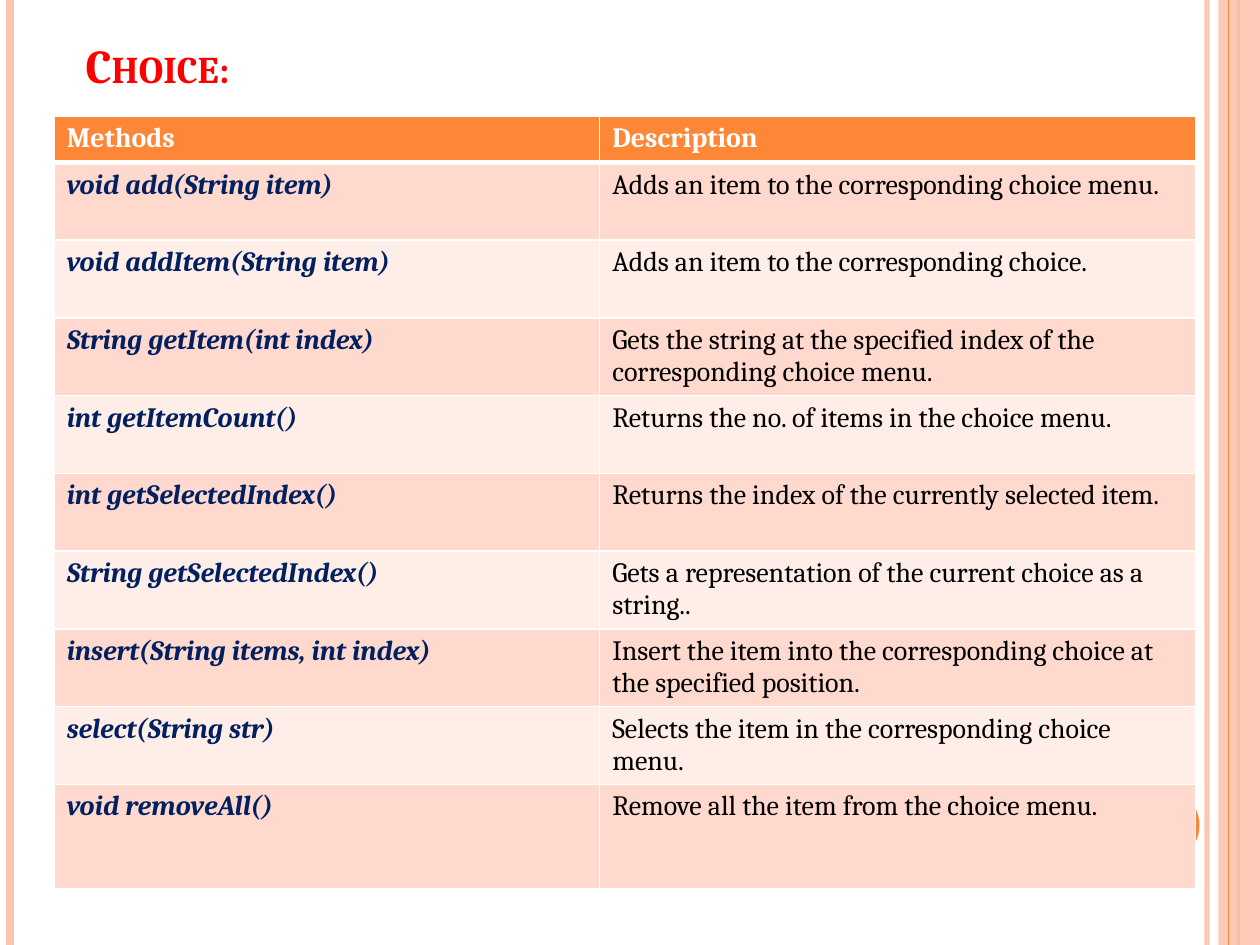
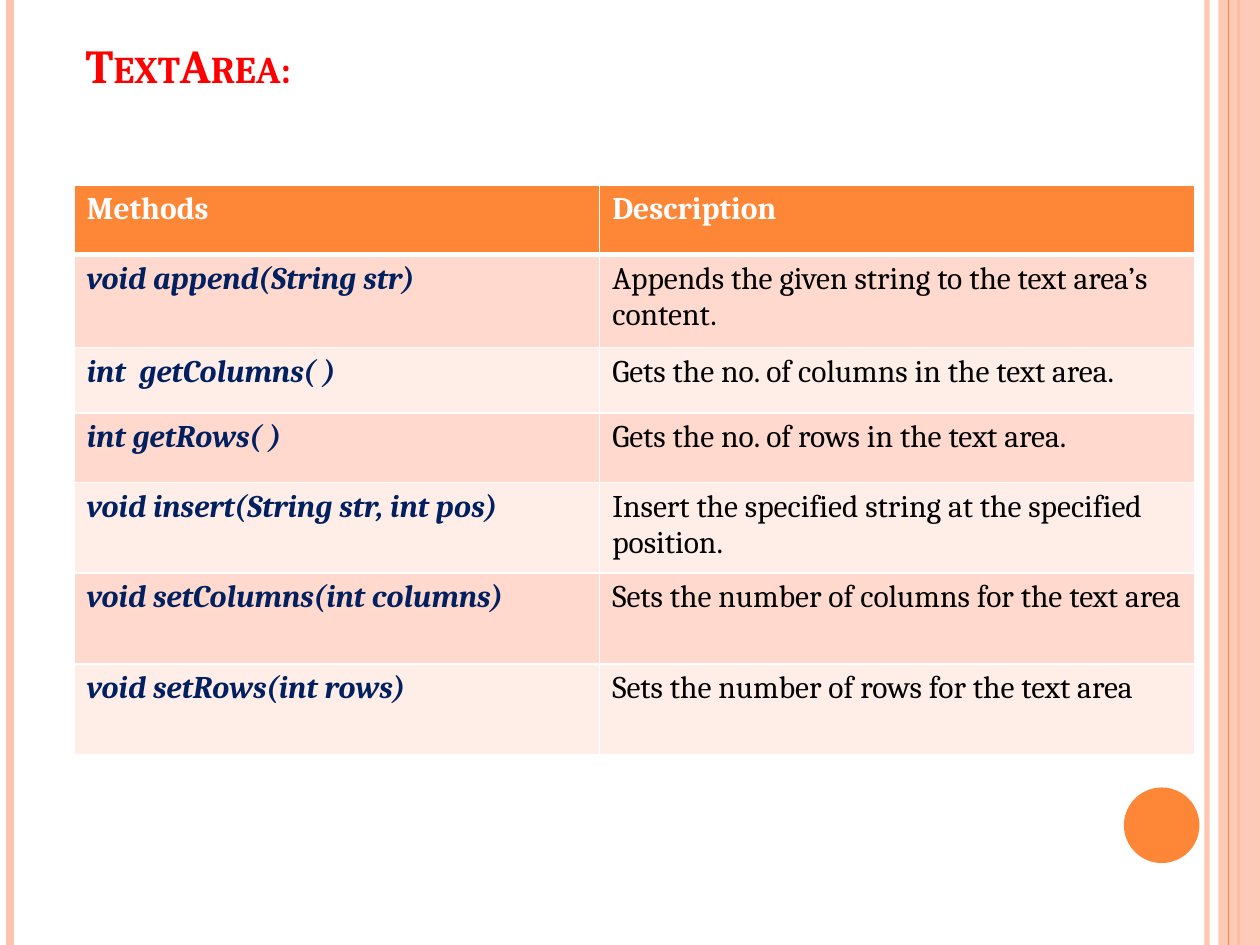
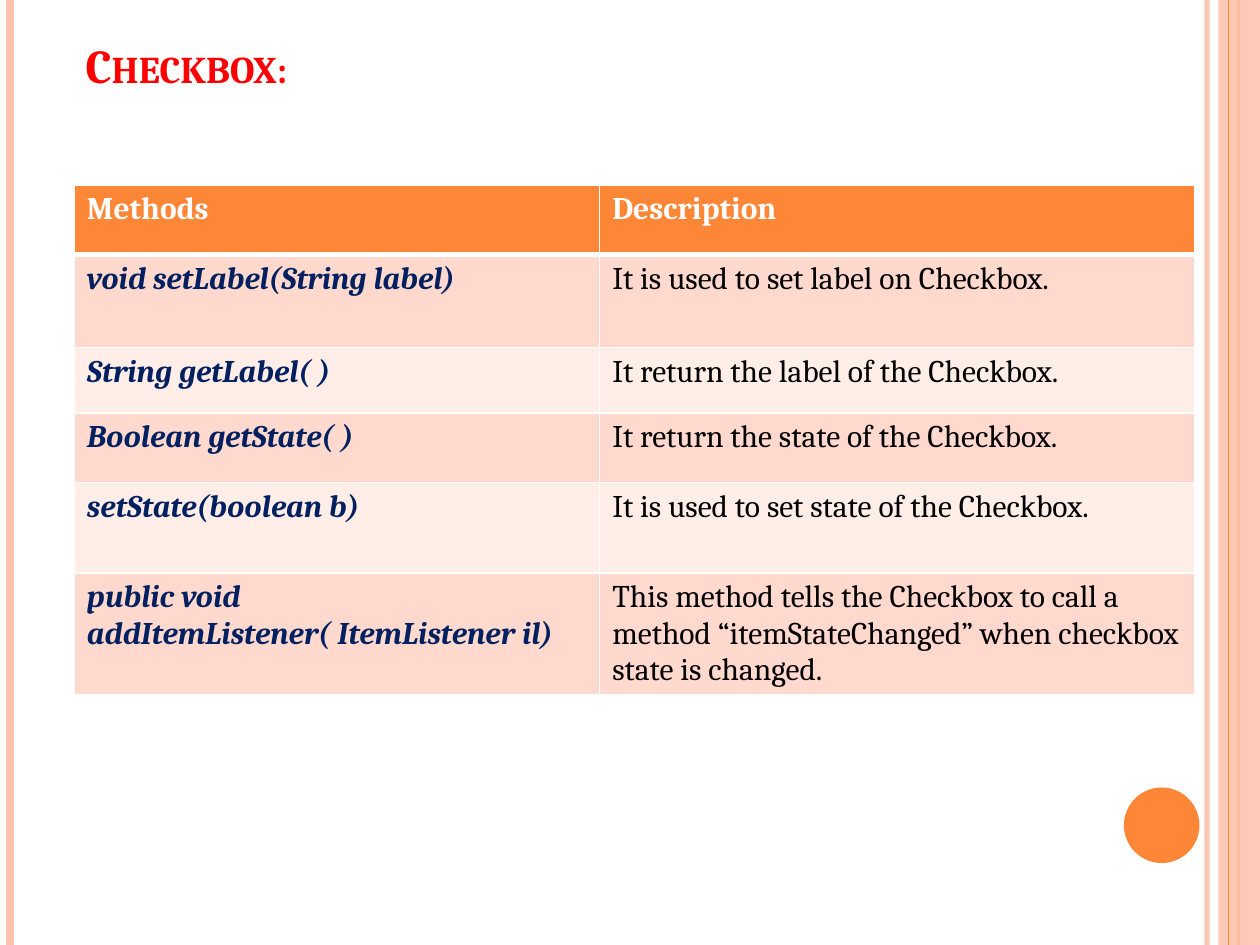
from lxml.etree import SubElement
from pptx import Presentation
from pptx.dml.color import RGBColor
from pptx.enum.shapes import MSO_CONNECTOR, MSO_SHAPE
from pptx.enum.text import MSO_ANCHOR, MSO_AUTO_SIZE, PP_ALIGN
from pptx.oxml.ns import qn
from pptx.util import Inches, Pt

HEADER = ("Methods", "Description")

CHOICE_METHODS = [
    ("void add(String item)", "Adds an item to the corresponding choice menu."),
    ("void addItem(String item)", "Adds an item to the corresponding choice."),
    ("String getItem(int index)",
     "Gets the string at the specified index of the corresponding choice menu."),
    ("int getItemCount()", "Returns the no. of items in the choice menu."),
    ("int getSelectedIndex()", "Returns the index of the currently selected item."),
    ("String getSelectedIndex()",
     "Gets a representation of the current choice as a string.."),
    ("insert(String items, int index)",
     "Insert the item into the corresponding choice at the specified position."),
    ("select(String str)", "Selects the item in the corresponding choice menu."),
    ("void removeAll()", "Remove all the item from the choice menu."),
]

TEXT_AREA_METHODS = [
    ("void append(String str)", "Appends the given string to the text area’s content."),
    ("int  getColumns( )", "Gets the no. of columns in the text area."),
    ("int getRows( )", "Gets the no. of rows in the text area."),
    ("void insert(String str, int pos)",
     "Insert the specified string at the specified position."),
    ("void setColumns(int columns)", "Sets the number of columns for the text area"),
    ("void setRows(int rows)", "Sets the number of rows for the text area"),
]

CHECKBOX_METHODS = [
    ("void setLabel(String label)", "It is used to set label on Checkbox."),
    ("String getLabel( )", "It return the label of the Checkbox."),
    ("Boolean getState( )", "It return the state of the Checkbox."),
    ("setState(boolean b)", "It is used to set state of the Checkbox."),
    ("public void addItemListener( ItemListener il)",
     "This method tells the Checkbox to call a method “itemStateChanged” "
     "when checkbox state is changed."),
]


def rgb(value):
    return RGBColor.from_string(value)


def set_alpha(fill, percent):
    """Make a solid fill partly transparent."""
    color = fill._xPr.find(qn("a:solidFill"))[0]
    SubElement(color, qn("a:alpha"), val=str(percent * 1000))


class Deck:
    FONT = "Cambria"
    ORANGE, PEACH, WHITE = "FE8637", "FEC3AE", "FFFFFF"
    RED, NAVY, BLACK = "FF0000", "002060", "000000"
    BANDS = ("FFD9CE", "FFEDE8")

    def __init__(self):
        self.prs = Presentation()
        self.prs.slide_width, self.prs.slide_height = Inches(10), Inches(7.5)
        self.slide = None

    def new_slide(self, title):
        self.slide = self.prs.slides.add_slide(self.prs.slide_layouts[5])
        self.edges()
        self.title(title)

    def edges(self):
        """Vertical rules, side band and page disc."""
        self.rule(9.58, self.PEACH, 3, alpha=93)
        self.rule(0.08, self.PEACH, 4.5)
        self.rule(9.83, self.ORANGE, 1.5)
        self.shape(MSO_SHAPE.RECTANGLE, 9.67, 0, 0.33, 7.5, self.PEACH, alpha=87)
        self.rule(9.75, self.ORANGE, 0.75)
        self.shape(MSO_SHAPE.OVAL, 8.92, 6.25, 0.6, 0.6, self.ORANGE)

    def rule(self, x, color, width, alpha=100):
        rule = self.slide.shapes.add_connector(
            MSO_CONNECTOR.STRAIGHT, Inches(x), 0, Inches(x), self.prs.slide_height)
        rule.line.width = Pt(width)
        rule.line.color.rgb = rgb(color)
        if alpha < 100:
            set_alpha(rule.line.fill, alpha)
        SubElement(rule._element.spPr, qn("a:effectLst"))

    def shape(self, preset, x, y, width, height, color, alpha=100):
        shape = self.slide.shapes.add_shape(
            preset, Inches(x), Inches(y), Inches(width), Inches(height))
        shape.shadow.inherit = False
        shape.fill.solid()
        shape.fill.fore_color.rgb = rgb(color)
        if alpha < 100:
            set_alpha(shape.fill, alpha)
        shape.line.fill.background()

    def run(self, paragraph, text, size, color, bold=False, italic=False):
        run = paragraph.add_run()
        run.text = text
        font = run.font
        font.name, font.size, font.bold, font.italic = self.FONT, Pt(size), bold, italic
        font.color.rgb = rgb(color)
        return run

    def title(self, text):
        title = self.slide.shapes.title
        title.left, title.top = Inches(0.5), Inches(0.16)
        title.width, title.height = Inches(8.17), Inches(1.07)
        frame = title.text_frame
        frame.auto_size = MSO_AUTO_SIZE.NONE
        frame.word_wrap = True
        frame.vertical_anchor = MSO_ANCHOR.BOTTOM
        frame.margin_left, frame.margin_bottom = Inches(0.18), Inches(0.49)
        paragraph = frame.paragraphs[0]
        paragraph.alignment = PP_ALIGN.LEFT
        run = self.run(paragraph, text, 27, self.RED, bold=True)
        run.font._element.set("cap", "small")

    def borders(self, cell, top, bottom):
        """White borders; top and bottom widths are in points."""
        widths = {"a:lnL": 1, "a:lnR": 1, "a:lnT": top, "a:lnB": bottom}
        for side, width in widths.items():
            line = SubElement(cell._tc.get_or_add_tcPr(), qn(side), w=str(Pt(width)))
            fill = SubElement(line, qn("a:solidFill"))
            SubElement(fill, qn("a:srgbClr"), val=self.WHITE)

    def methods_table(self, methods, x, y, columns, heights, size):
        rows = [HEADER, *methods]
        table = self.slide.shapes.add_table(
            len(rows), len(columns), Inches(x), Inches(y),
            Inches(sum(columns)), Inches(sum(heights))).table
        for column, width in zip(table.columns, columns):
            column.width = Inches(width)
        for r, (texts, height) in enumerate(zip(rows, heights)):
            table.rows[r].height = Inches(height)
            for c, text in enumerate(texts):
                cell = table.cell(r, c)
                self.borders(cell, top=3 if r == 1 else 1, bottom=3 if r == 0 else 1)
                cell.fill.solid()
                cell.fill.fore_color.rgb = rgb(self.BANDS[(r - 1) % 2] if r else self.ORANGE)
                is_method = r > 0 and c == 0
                color = self.WHITE if r == 0 else self.NAVY if is_method else self.BLACK
                self.run(cell.text_frame.paragraphs[0], text, size, color,
                         bold=r == 0 or is_method, italic=is_method)


def main():
    deck = Deck()

    # Choice
    deck.new_slide("Choice:")
    deck.methods_table(CHOICE_METHODS, 0.43, 0.92, (4.33, 4.73),
                       [0.37] + [0.617] * 8 + [0.83], 16)

    # TextArea and Checkbox share one table layout
    for title, methods in (("TextArea:", TEXT_AREA_METHODS),
                           ("Checkbox:", CHECKBOX_METHODS)):
        deck.new_slide(title)
        heights = [0.55, 0.74, 0.52, 0.55] + [0.72] * (len(methods) - 3)
        deck.methods_table(methods, 0.59, 1.47, (4.17, 4.72), heights, 18)

    deck.prs.save("out.pptx")


if __name__ == "__main__":
    main()
